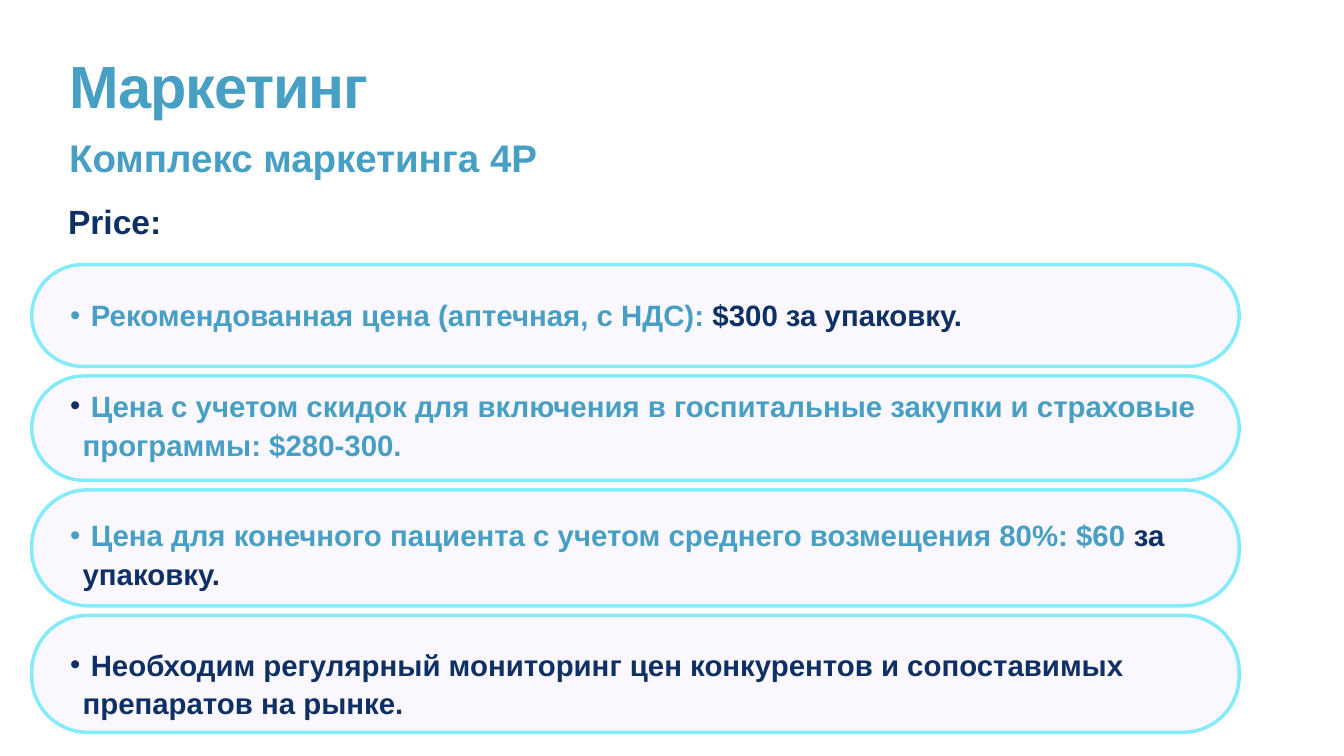
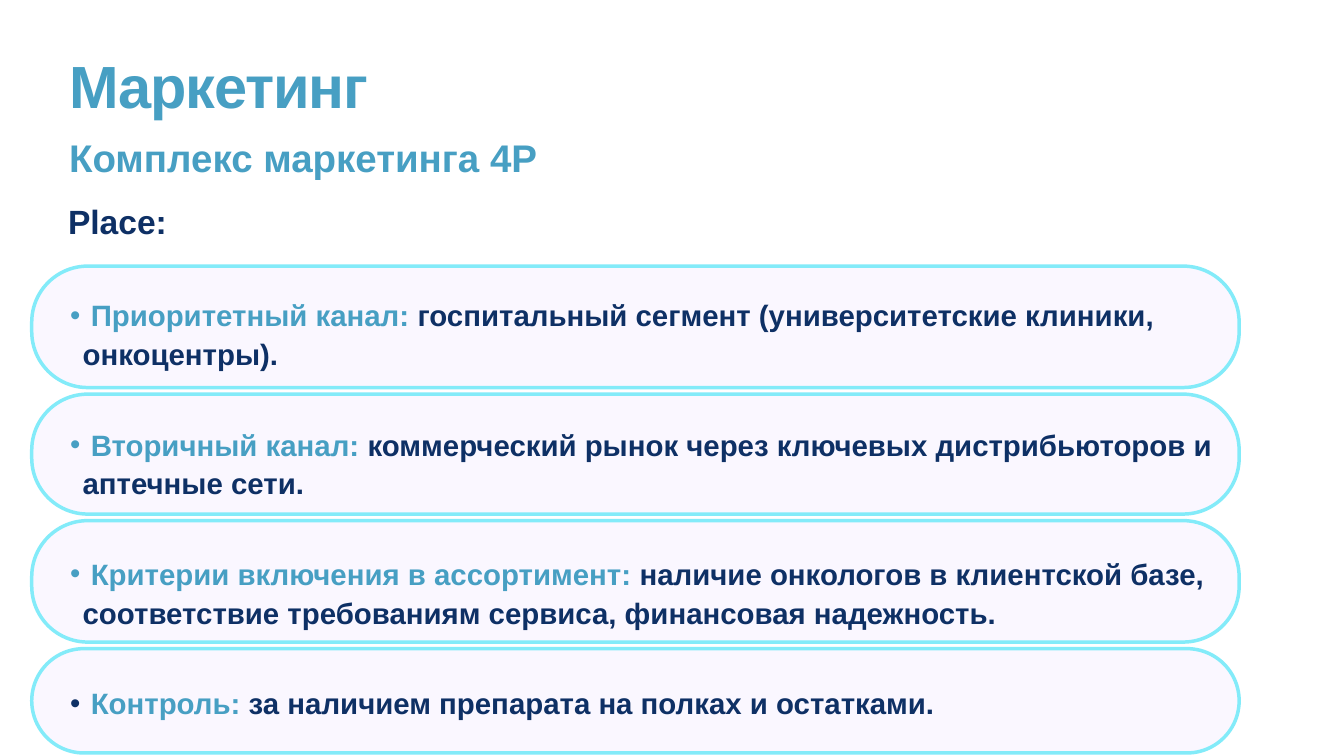
from dataclasses import dataclass

from lxml import etree
from pptx import Presentation
from pptx import util as u
from pptx.dml.color import RGBColor
from pptx.enum import shapes, text
from pptx.oxml.ns import qn


@dataclass(frozen=True)
class Theme:
    font: str = "Arial"
    blue: str = "479FC3"
    navy: str = "0E3065"
    pill_fill: str = "EDE3FF"
    pill_opacity: int = 27
    pill_line: str = "83EBF9"
    pill_line_width: int = 5
    title_size: int = 85
    subtitle_size: int = 55
    heading_size: int = 48
    body_size: int = 42


THEME = Theme()
BLUE, NAVY = THEME.blue, THEME.navy

TITLE = "Маркетинг"
SUBTITLE = "Комплекс маркетинга 4P"

# Each point is a list of (text, colour); its bullet takes the first colour.
SECTIONS = [
    {
        "heading": "Price:",
        "top": 5.25, "gap": 0.19, "heights": [2.02, 2.07, 2.3, 2.32],
        "points": [
            [(" Рекомендованная цена (аптечная, с НДС):", BLUE),
             (" $300 за упаковку.", NAVY)],
            [(" ", NAVY),
             ("Цена с учетом скидок для включения в госпитальные закупки "
              "и страховые программы: $280-300.", BLUE)],
            [(" Цена для конечного пациента с учетом среднего возмещения 80%: $60", BLUE),
             (" за упаковку.", NAVY)],
            [(" Необходим регулярный мониторинг цен конкурентов "
              "и сопоставимых препаратов на рынке.", NAVY)],
        ],
    },
    {
        "heading": "Place:",
        "top": 5.28, "gap": 0.13, "heights": [2.41, 2.38, 2.41, 2.07],
        "points": [
            [(" Приоритетный канал:", BLUE),
             (" госпитальный сегмент (университетские клиники, онкоцентры).", NAVY)],
            [(" Вторичный канал:", BLUE),
             (" коммерческий рынок через ключевых дистрибьюторов и аптечные сети.", NAVY)],
            [(" Критерии включения в ассортимент:", BLUE),
             (" наличие онкологов в клиентской базе, соответствие требованиям "
              "сервиса, финансовая надежность.", NAVY)],
            [(" ", NAVY), ("Контроль:", BLUE),
             (" за наличием препарата на полках и остатками.", NAVY)],
        ],
    },
]

PILL_LEFT, PILL_WIDTH, PILL_RADIUS = 0.63, 23.96, 1.11


def style_run(run, size, color):
    run.font.name = THEME.font
    run.font.size = u.Pt(size)
    run.font.bold = True
    run.font.color.rgb = RGBColor.from_string(color)


def add_frame(slide, box, inset=0.06, anchor=text.MSO_ANCHOR.TOP):
    """Add a wrapping text box and return its text frame."""
    frame = slide.shapes.add_textbox(*map(u.Inches, box)).text_frame
    frame.word_wrap = True
    frame.vertical_anchor = anchor
    frame.margin_left = frame.margin_right = u.Inches(inset)
    frame.margin_top = frame.margin_bottom = u.Inches(inset)
    return frame


def add_label(frame, label, size, color, line_spacing=1.0):
    """Fill a frame with one styled line and return its run."""
    frame.text = label
    line = frame.paragraphs[0]
    line.line_spacing = line_spacing
    style_run(line.runs[0], size, color)
    return line.runs[0]


def add_header(slide, heading):
    title = add_label(add_frame(slide, (1.32, 1.18, 24.03, 1.57)),
                      TITLE, THEME.title_size, BLUE, 0.8)
    title._r.get_or_add_rPr().set("spc", "-170")
    add_label(add_frame(slide, (1.32, 2.6, 24.03, 1.02), 0.05),
              SUBTITLE, THEME.subtitle_size, BLUE)
    add_label(add_frame(slide, (1.29, 3.98, 22.64, 0.9), anchor=text.MSO_ANCHOR.MIDDLE),
              heading, THEME.heading_size, NAVY, 0.9)


def add_pill(slide, top, height):
    pill = slide.shapes.add_shape(
        shapes.MSO_SHAPE.ROUNDED_RECTANGLE,
        *map(u.Inches, (PILL_LEFT, top, PILL_WIDTH, height)))
    pill.adjustments[0] = min(0.5, PILL_RADIUS / height)
    pill.shadow.inherit = False
    pill.fill.solid()
    pill.fill.fore_color.rgb = RGBColor.from_string(THEME.pill_fill)
    fill_color = pill._element.spPr.find(qn("a:solidFill"))[0]
    etree.SubElement(fill_color, qn("a:alpha")).set("val", str(THEME.pill_opacity * 1000))
    pill.line.color.rgb = RGBColor.from_string(THEME.pill_line)
    pill.line.width = u.Pt(THEME.pill_line_width)


def add_points(slide, points):
    frame = add_frame(slide, (0.66, 5.77, 24.03, 9))
    for number, parts in enumerate(points):
        point = frame.add_paragraph() if number else frame.paragraphs[0]
        point.line_spacing = 1.1
        if number:
            point.space_before = u.Pt(74)
        properties = point._p.get_or_add_pPr()
        properties.set("marL", str(u.Inches(0.92)))
        properties.set("indent", str(u.Inches(-0.25)))
        etree.SubElement(properties, qn("a:buFont")).set("typeface", THEME.font)
        etree.SubElement(properties, qn("a:buChar")).set("char", "•")
        for words, color in parts:
            run = point.add_run()
            run.text = words
            style_run(run, THEME.body_size, color)


def main():
    deck = Presentation()
    deck.slide_width, deck.slide_height = u.Inches(26.67), u.Inches(15)
    for section in SECTIONS:
        slide = deck.slides.add_slide(deck.slide_layouts[6])
        top = section["top"]
        for height in section["heights"]:
            add_pill(slide, top, height)
            top += height + section["gap"]
        add_header(slide, section["heading"])
        add_points(slide, section["points"])
    deck.save("out.pptx")


if __name__ == "__main__":
    main()
